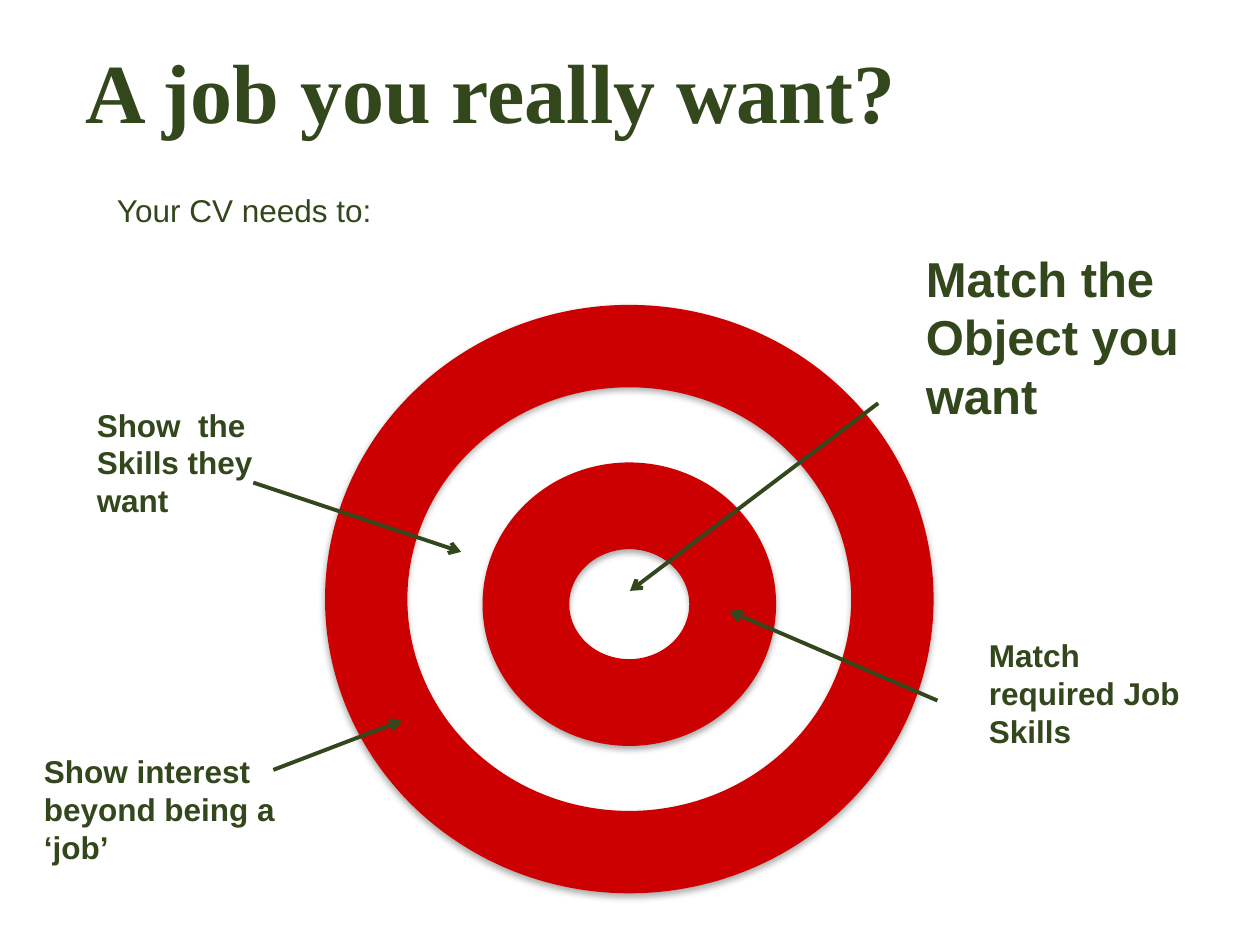
import pptx
import pptx.util
import pptx.dml.color
import pptx.enum.shapes
import pptx.enum.text
import pptx.oxml
import pptx.oxml.ns

PX = 9144  # 100 px to the inch
GREEN = pptx.dml.color.RGBColor(0x33, 0x47, 0x1C)
RED = pptx.dml.color.RGBColor(0xCC, 0x00, 0x00)
WHITE = pptx.dml.color.RGBColor(0xFF, 0xFF, 0xFF)
SHADE = (
    f'<a:effectLst {pptx.oxml.ns.nsdecls("a")}>'
    '<a:outerShdw blurRad="44450" dist="27940" dir="5400000">'
    '<a:srgbClr val="000000"><a:alpha val="32000"/></a:srgbClr>'
    '</a:outerShdw></a:effectLst>'
)
PLAIN = f'<a:effectLst {pptx.oxml.ns.nsdecls("a")}/>'
ARROW = f'<a:tailEnd {pptx.oxml.ns.nsdecls("a")} type="arrow"/>'


def scale(*sizes):
    return [pptx.util.Emu(size * PX) for size in sizes]


def add_text(slide, box, text, size=18, font="Arial", bold=True):
    frame = slide.shapes.add_textbox(*scale(*box)).text_frame
    frame.word_wrap = True
    run = frame.paragraphs[0].add_run()
    run.text = text
    run.font.name = font
    run.font.size = pptx.util.Pt(size)
    run.font.bold = bold
    run.font.color.rgb = GREEN
    return frame


def add_head(slide, box):
    left, top, width, height = box
    title = add_text(slide, (left, top, width, 91),
                     "A job you really want?", 48, "Times New Roman")
    title.vertical_anchor = pptx.enum.text.MSO_ANCHOR.BOTTOM
    add_text(slide, (left + 25, top + 122, 441, 40),
             "Your CV needs to:", bold=False)


def add_target(slide, box):
    left, top, width, height = box
    group = slide.shapes.add_group_shape()
    # Rings: inset from the box, width, height, band thickness
    for dx, dy, wide, high, band in (
        (0, 0, width, height, 0.14),
        (125, 125, 233, 225, 0.306),
    ):
        ring = group.shapes.add_shape(
            pptx.enum.shapes.MSO_SHAPE.DONUT,
            *scale(left + dx, top + dy, wide, high))
        ring.adjustments[0] = band
        ring.fill.solid()
        ring.fill.fore_color.rgb = RED
        ring.line.fill.background()
        ring._element.spPr.append(pptx.oxml.parse_xml(SHADE))


def add_arrow(slide, start, end):
    arrow = slide.shapes.add_connector(
        pptx.enum.shapes.MSO_CONNECTOR.STRAIGHT, *scale(*start, *end))
    arrow.line.color.rgb = GREEN
    arrow.line.width = pptx.util.Pt(2.25)
    arrow.line._get_or_add_ln().append(pptx.oxml.parse_xml(ARROW))
    arrow._element.spPr.append(pptx.oxml.parse_xml(PLAIN))


def add_labels(slide, box):
    left, top = box[:2]
    # Text, size, label box, arrow start and end, all from the target's corner
    labels = (
        ("Show interest beyond being a ‘job’", 18,
         (-233, 350, 242, 101), (-41, 369), (61, 330)),
        ("Show  the Skills they want", 18,
         (-191, 75, 150, 101), (-57, 141), (108, 196)),
        ("Match required Job Skills", 18,
         (517, 258, 192, 101), (486, 314), (321, 243)),
        ("Match the Object you want", 28,
         (467, -50, 232, 151), (439, 78), (242, 227)),
    )
    for text, size, (x, y, wide, high), start, end in labels:
        add_text(slide, (left + x, top + y, wide, high), text, size)
        add_arrow(slide, (left + start[0], top + start[1]),
                  (left + end[0], top + end[1]))


def main():
    deck = pptx.Presentation()
    deck.slide_width, deck.slide_height = scale(1000, 750)
    slide = deck.slides.add_slide(deck.slide_layouts[6])
    slide.background.fill.solid()
    slide.background.fill.fore_color.rgb = WHITE

    target = (258, 242, 483, 467)
    add_target(slide, target)
    add_head(slide, (58, 25, 812, 162))
    add_labels(slide, target)
    deck.save("out.pptx")


if __name__ == "__main__":
    main()
